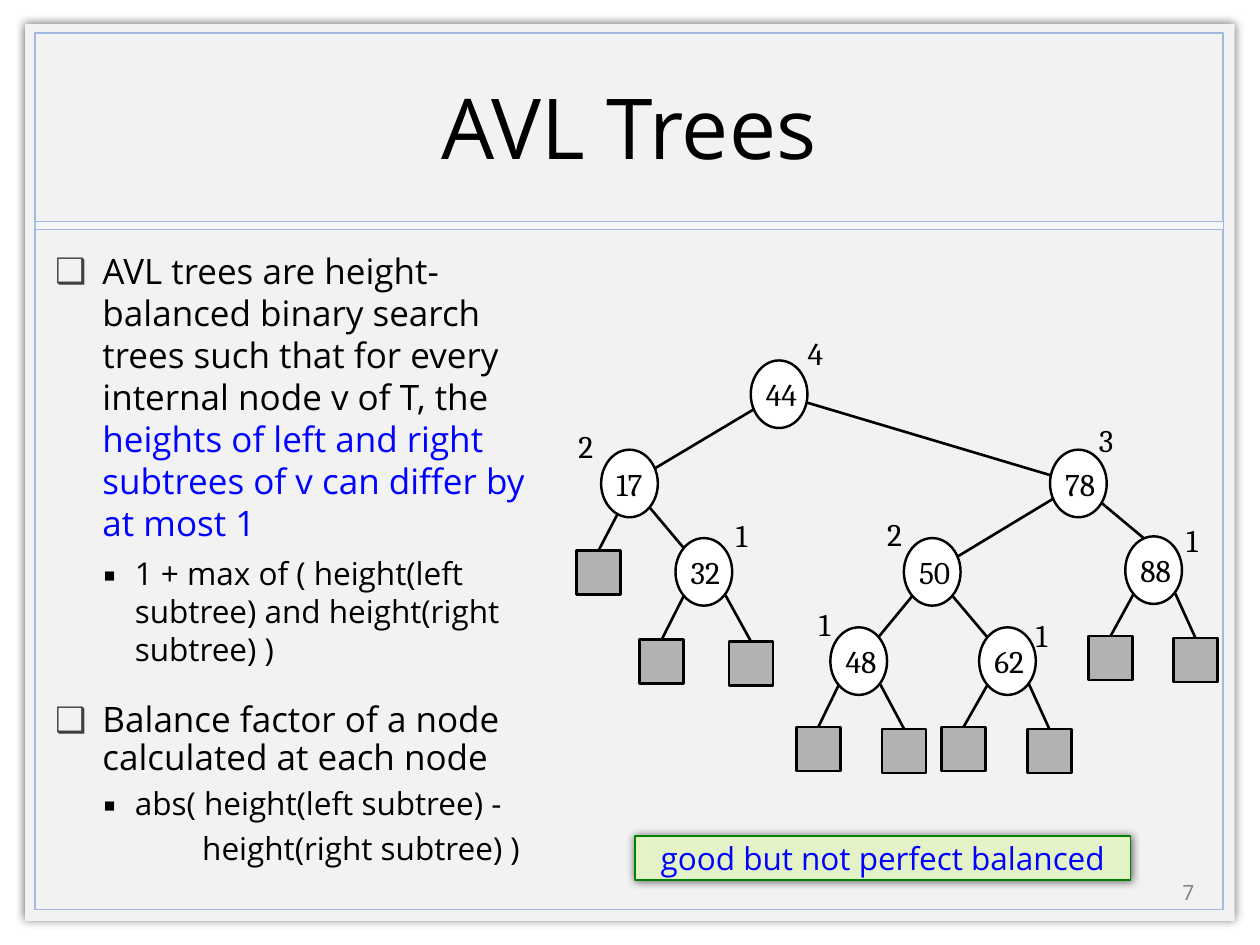
from lxml import etree
from pptx import Presentation
from pptx.dml.color import RGBColor
from pptx.enum.shapes import MSO_CONNECTOR, MSO_SHAPE
from pptx.enum.text import MSO_ANCHOR, PP_ALIGN
from pptx.oxml.ns import qn
from pptx.util import Pt

RECTANGLE, OVAL = MSO_SHAPE.RECTANGLE, MSO_SHAPE.OVAL
STRAIGHT = MSO_CONNECTOR.STRAIGHT
MIDDLE, TOP = MSO_ANCHOR.MIDDLE, MSO_ANCHOR.TOP
LEFT, CENTER = PP_ALIGN.LEFT, PP_ALIGN.CENTER

COLORS = {
    "panel": "F2F2F2", "frame": "A0BAE1", "band": "F4F6F9",
    "black": "000000", "white": "FFFFFF", "blue": "0000FF",
    "gray": "7F7F7F", "bullet": "404040", "leaf": "B2B2B2",
    "note": "E3F2C7", "green": "008000",
}
SANS, SERIF = "Open Sans", "Cambria"

# Content: paragraph style, line spacing, space before, runs
MAIN = {"margin": 27, "indent": -27, "size": 20, "bullet": ("❑", "bullet")}
SUB = {"margin": 45.5, "indent": -18, "size": 18, "bullet": ("▪", "black")}
CONTINUED = {"margin": 84, "indent": 0, "size": 18, "bullet": None}
PARAGRAPHS = [
    (MAIN, 1.0, 0, [
        ("AVL trees are height-balanced binary search trees such that "
         "for every internal node v of T, the ", "black"),
        ("heights of left and right subtrees of v can differ by at most 1", "blue")]),
    (SUB, 1.0, 6, [
        ("1 + max of ( height(left subtree) and height(right subtree) )", "black")]),
    (MAIN, 0.9, 20, [("Balance factor of a node calculated at each node", "black")]),
    (SUB, 0.9, 6, [("abs( height(left subtree) -", "black")]),
    (CONTINUED, 0.9, 6, [("height(right subtree) )", "black")]),
]

# Key: left and top of the node, its height and where that label stands
NODES = {
    "44": ((429, 206), "4", (461.5, 191)),
    "17": ((343.5, 257), "2", (330.5, 244)),
    "78": ((600, 257), "3", (628, 240.5)),
    "32": ((386, 307.5), "1", (420.5, 295)),
    "50": ((516.5, 307.5), "2", (507, 294.5)),
    "88": ((643, 306.5), "1", (678, 298)),
    "48": ((474.5, 358.5), "1", (468, 345.5)),
    "62": ((559.5, 358.5), "1", (592, 352)),
}
EDGES = [("44", "17"), ("44", "78"), ("17", "32"), ("78", "50"),
         ("78", "88"), ("50", "48"), ("50", "62")]
# Parent, side, left and top of the leaf
LEAVES = [
    ("17", "bottom", 329.5, 314.5),
    ("32", "left", 365.5, 365.5), ("32", "right", 416.5, 366.5),
    ("48", "left", 455, 415.5), ("48", "right", 504, 416.5),
    ("62", "left", 538, 415.5), ("62", "right", 587, 416.5),
    ("88", "left", 622, 363.5), ("88", "right", 670.5, 364.5),
]
NODE_WIDTH, NODE_HEIGHT, LEAF_SIZE = 32.4, 38.6, 25.2
LEAF_EXIT = {"left": (5, 32.5), "bottom": (9.5, 36.5), "right": (28.5, 32.5)}
NODE_ENTRY = {"88": (10.5, 1)}
NODE_CENTER = (NODE_WIDTH / 2, NODE_HEIGHT / 2)


def rgb(name):
    return RGBColor.from_string(COLORS[name])


def add_run(paragraph, text, size, color, font):
    run = paragraph.add_run()
    run.text = text
    run.font.size, run.font.name = Pt(size), font
    run.font.color.rgb = rgb(color)


def add_box(kind, left, top, width, height, fill=None, line=None, weight=1):
    shape = slide.shapes.add_shape(kind, Pt(left), Pt(top), Pt(width), Pt(height))
    shape.shadow.inherit = False
    if fill:
        shape.fill.solid()
        shape.fill.fore_color.rgb = rgb(fill)
    else:
        shape.fill.background()
    if line:
        shape.line.color.rgb = rgb(line)
        shape.line.width = Pt(weight)
    else:
        shape.line.fill.background()
    return shape


def add_glow(shape):
    effects = shape._element.spPr.find(qn("a:effectLst"))
    shadow = etree.SubElement(effects, qn("a:outerShdw"), blurRad=str(Pt(5)),
                              dist="0", algn="ctr", rotWithShape="0")
    color = etree.SubElement(shadow, qn("a:srgbClr"), val=COLORS["black"])
    etree.SubElement(color, qn("a:alpha"), val="60000")


def add_line(start, end, weight):
    line = slide.shapes.add_connector(STRAIGHT, *(Pt(v) for v in (*start, *end)))
    line.line.color.rgb = rgb("black")
    line.line.width = Pt(weight)
    etree.SubElement(line._element.spPr, qn("a:effectLst"))


def add_label(text, left, top, width, height, size, color, font,
              align=LEFT, anchor=TOP):
    frame = slide.shapes.add_textbox(Pt(left), Pt(top), Pt(width), Pt(height)).text_frame
    frame.margin_left = frame.margin_top = frame.margin_right = frame.margin_bottom = 0
    frame.word_wrap, frame.vertical_anchor = False, anchor
    frame.paragraphs[0].alignment = align
    add_run(frame.paragraphs[0], text, size, color, font)


def format_paragraph(paragraph, style):
    properties = paragraph._p.get_or_add_pPr()
    properties.set("marL", str(Pt(style["margin"])))
    properties.set("indent", str(Pt(style["indent"])))
    if style["bullet"]:
        mark, color = style["bullet"]
        holder = etree.SubElement(properties, qn("a:buClr"))
        etree.SubElement(holder, qn("a:srgbClr"), val=COLORS[color])
        etree.SubElement(properties, qn("a:buFont"), typeface=SANS)
        etree.SubElement(properties, qn("a:buChar"), char=mark)


def node_point(key, offset):
    return tuple(a + b for a, b in zip(NODES[key][0], offset))


presentation = Presentation()
presentation.slide_width, presentation.slide_height = Pt(720), Pt(540)
slide = presentation.slides.add_slide(presentation.slide_layouts[5])

# Panel, frame and divider
add_glow(add_box(RECTANGLE, 14.4, 13.7, 691.2, 512.6, "panel"))
add_box(RECTANGLE, 20, 18.7, 679, 501.1, None, "frame")
add_box(RECTANGLE, 20, 126.3, 679, 5, "band", "frame", 0.25)

# Title, brought in front of the panel
title = slide.shapes.title
title.left, title.top, title.width, title.height = Pt(20), Pt(19), Pt(679), Pt(105.8)
title._element.getparent().append(title._element)
title.text_frame.vertical_anchor = MIDDLE
title.text_frame.paragraphs[0].alignment = CENTER
add_run(title.text_frame.paragraphs[0], "AVL Trees", 48, "black", SANS)

# Slide number
add_label("7", 660, 499.2, 38, 21.6, 12, "gray", SANS, CENTER, MIDDLE)

# Explanation
body = slide.shapes.add_textbox(Pt(24.5), Pt(139), Pt(293), Pt(374.4)).text_frame
body.word_wrap = True
for index, (style, spacing, before, runs) in enumerate(PARAGRAPHS):
    paragraph = body.add_paragraph() if index else body.paragraphs[0]
    paragraph.line_spacing, paragraph.space_before = spacing, Pt(before)
    format_paragraph(paragraph, style)
    for text, color in runs:
        add_run(paragraph, text, style["size"], color, SANS)

# Tree edges, behind the nodes
for parent, child in EDGES:
    add_line(node_point(parent, NODE_CENTER),
             node_point(child, NODE_ENTRY.get(child, NODE_CENTER)), 1.5)

# Tree nodes with their heights
for key, ((left, top), height, label_place) in NODES.items():
    add_box(OVAL, left, top, NODE_WIDTH, NODE_HEIGHT, "white", "black", 1.38)
    add_label(key, left + 8.7, top + 8.5, 25, 24.5, 18, "black", SERIF)
    add_label(height, *label_place, 16, 24.5, 18, "black", SERIF)

# Leaves
for parent, side, left, top in LEAVES:
    add_line((left + LEAF_SIZE / 2, top), node_point(parent, LEAF_EXIT[side]), 1.5)
    add_box(RECTANGLE, left, top, LEAF_SIZE, LEAF_SIZE, "leaf", "black", 1.5)

# Verdict
verdict = add_box(RECTANGLE, 363, 477.7, 283, 25.2, "note", "green")
add_glow(verdict)
verdict.text_frame.vertical_anchor = MIDDLE
verdict.text_frame.paragraphs[0].alignment = CENTER
add_run(verdict.text_frame.paragraphs[0], "good but not perfect balanced", 18, "blue", SANS)

presentation.save("out.pptx")
